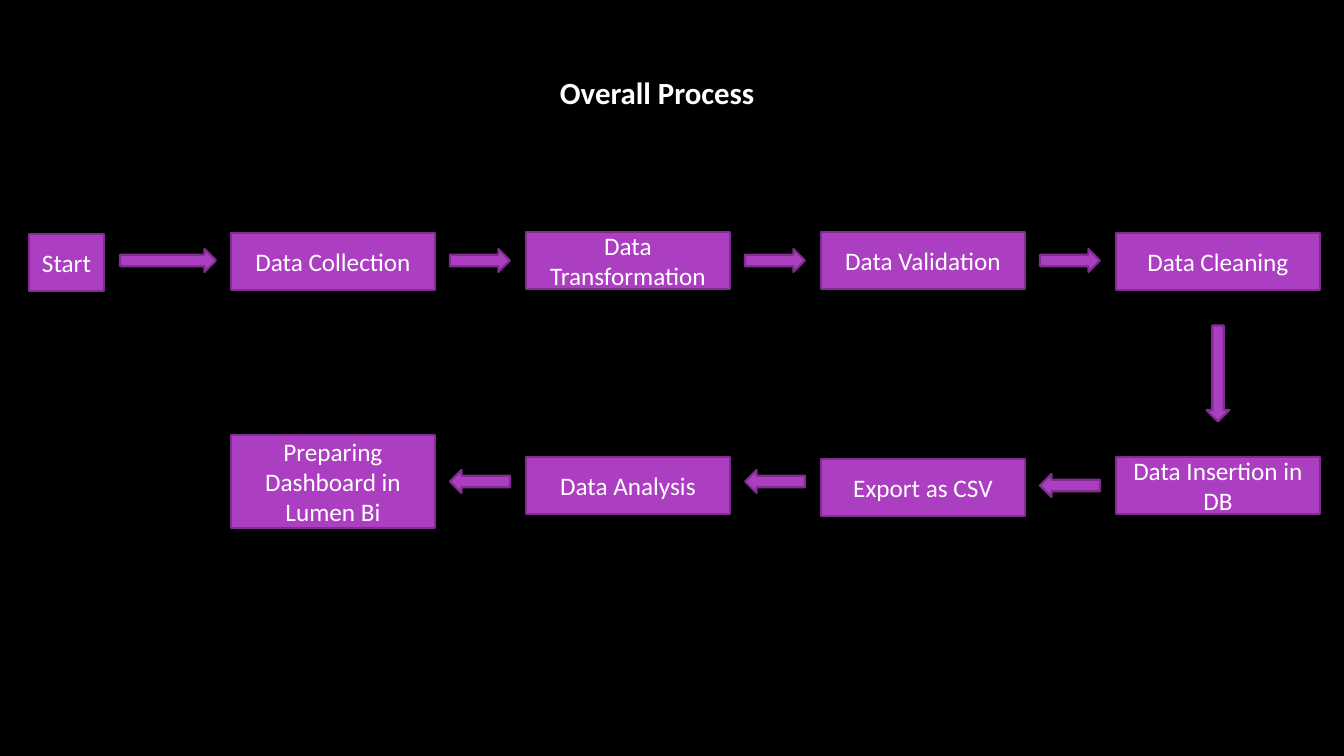
from pptx import Presentation
from pptx.dml.color import RGBColor
from pptx.enum.shapes import MSO_SHAPE
from pptx.enum.text import MSO_ANCHOR, PP_ALIGN
from pptx.util import Emu, Pt

RECT, ARROW = MSO_SHAPE.RECTANGLE, MSO_SHAPE.RIGHT_ARROW
MIDDLE, LEFT, CENTER = MSO_ANCHOR.MIDDLE, PP_ALIGN.LEFT, PP_ALIGN.CENTER
EMU_PER_PX = 914400 / 100.8
COL_LEFT, COL_STEP, BOX_W, BOX_H = 231, 295, 204, 57
ARROW_LEFT, ARROW_W, LONG_ARROW_W, ARROW_H = 450, 60, 96, 23

TOP_STEPS = [
    ("Data Collection", 233),
    ("Data Transformation", 232),
    ("Data Validation", 232),
    ("Data Cleaning", 233),
]
BOTTOM_STEPS = [
    ("Preparing Dashboard in Lumen Bi", 435, 93),
    ("Data Analysis", 457, BOX_H),
    ("Export as CSV", 459, BOX_H),
    ("Data Insertion in DB", 457, BOX_H),
]
RETURN_ARROW_TOPS = [470, 470, 474]


def px(n):
    return Emu(round(n * EMU_PER_PX))


def rgb(value):
    return RGBColor.from_string(value)


class FlowSlide:
    """Draws flowchart elements in one style on one slide."""

    font, text, fill, line, background = "Calibri", "FFFFFF", "AC3EC1", "7F2E8F", "000000"

    def __init__(self, prs):
        self.s = prs.slides.add_slide(prs.slide_layouts[6])
        bg = self.s.background.fill
        bg.solid()
        bg.fore_color.rgb = rgb(self.background)

    def label(self, sp, text, size, align, bold=False):
        tf = sp.text_frame
        tf.text = text
        tf.word_wrap = True
        tf.vertical_anchor = MIDDLE
        p = tf.paragraphs[0]
        p.alignment = align
        r = p.runs[0]
        r.font.name = self.font
        r.font.size = Pt(size)
        r.font.bold = bold
        r.font.color.rgb = rgb(self.text)

    def title(self, text, x, y, w, h, indent, lift):
        sp = self.s.shapes.add_textbox(px(x), px(y), px(w), px(h))
        self.label(sp, text, 22, LEFT, True)
        sp.text_frame.margin_left = px(indent)
        sp.text_frame.margin_bottom = px(lift)

    def shape(self, kind, x, y, w, h):
        sp = self.s.shapes.add_shape(kind, px(x), px(y), px(w), px(h))
        sp.shadow.inherit = False
        sp.fill.solid()
        sp.fill.fore_color.rgb = rgb(self.fill)
        sp.line.color.rgb = rgb(self.line)
        sp.line.width = Pt(1.5)
        return sp

    def box(self, text, x, y, w=BOX_W, h=BOX_H):
        self.label(self.shape(RECT, x, y, w, h), text, 18, CENTER)

    def arrow(self, x, y, w=ARROW_W, rotation=0):
        self.shape(ARROW, x, y, w, ARROW_H).rotation = rotation


def main():
    prs = Presentation()
    prs.slide_width, prs.slide_height = px(1344), px(756)
    flow = FlowSlide(prs)
    flow.title("Overall Process", 147, 34, 940, 184, indent=413, lift=73)

    flow.box("Start", 29, 234, w=75)
    for i, (text, y) in enumerate(TOP_STEPS):
        flow.box(text, COL_LEFT + i * COL_STEP, y)
    for i, (text, y, h) in enumerate(BOTTOM_STEPS):
        flow.box(text, COL_LEFT + i * COL_STEP, y, h=h)

    flow.arrow(120, 249, LONG_ARROW_W)
    for i, y in enumerate(RETURN_ARROW_TOPS):
        x = ARROW_LEFT + i * COL_STEP
        flow.arrow(x, 249)
        flow.arrow(x, y, rotation=180)
    flow.arrow(1170, 362, LONG_ARROW_W, rotation=90)
    prs.save("out.pptx")


if __name__ == "__main__":
    main()
